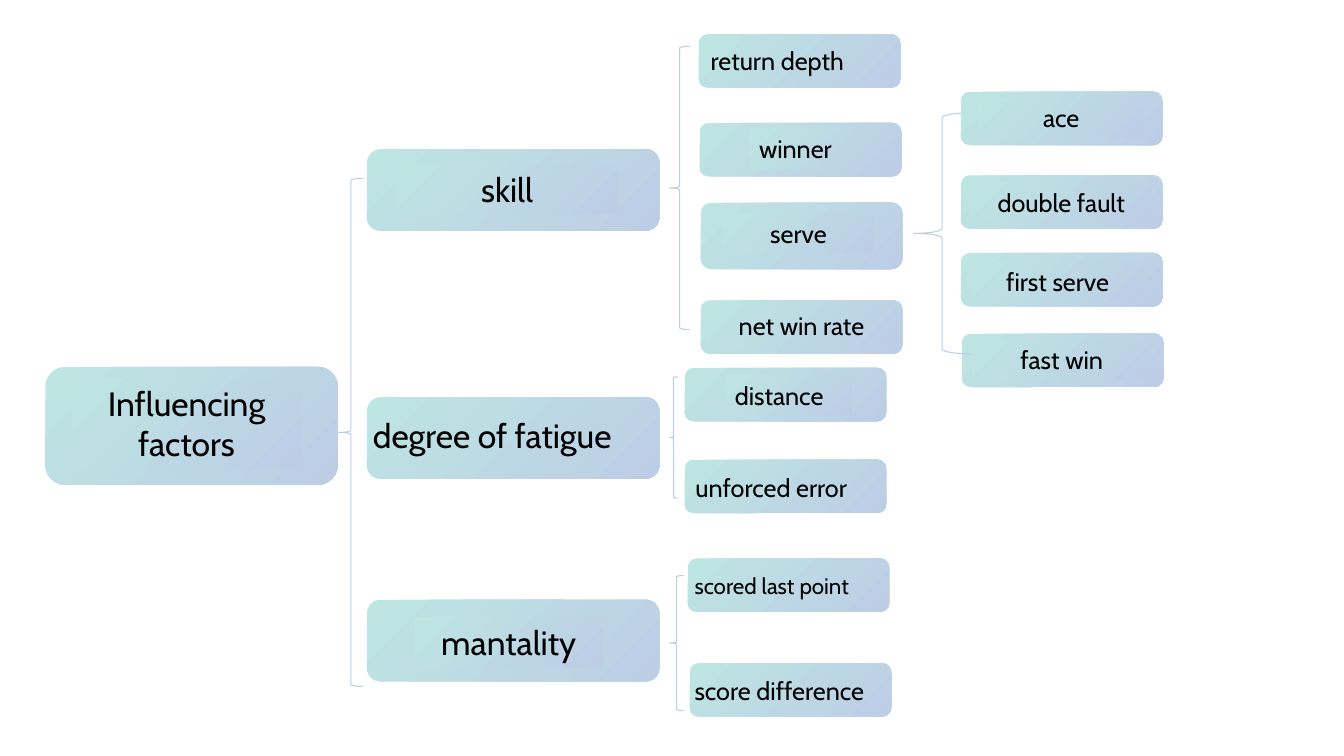
"""Build a slide with a tree of the factors that influence a tennis match."""
from pptx import Presentation
from pptx.dml.color import RGBColor
from pptx.enum.shapes import MSO_SHAPE
from pptx.enum.text import MSO_ANCHOR, PP_ALIGN
from pptx.util import Inches, Pt

COLORS = {"mint": "BDE6E2", "periwinkle": "BDCDE6", "text": "000000"}
LEFT, CENTER = PP_ALIGN.LEFT, PP_ALIGN.CENTER
LARGE, LEAF = (2.9, 0.81), (2, 0.53)

FACTORS = [
    ("Influencing factors", (0.45, 3.64, 2.9, 1.17), (0.71, 3.75, 2.28, 0.91), 24, CENTER, True),
    ("skill", (3.64, 1.48, *LARGE), (3.93, 1.63, 2.2, 0.5), 24, CENTER, True),
    ("degree of fatigue", (3.64, 3.94, *LARGE), (3.6, 4.07, 3.18, 0.5), 24, LEFT, False),
    ("mantality", (3.64, 5.95, *LARGE), (4.11, 6.12, 1.87, 0.5), 24, CENTER, True),
    ("return depth", (6.93, 0.34, *LEAF), (6.95, 0.4, 1.97, 0.4), 18, LEFT, True),
    ("winner", (6.94, 1.22, *LEAF), (7.43, 1.27, 1.44, 0.4), 18, LEFT, True),
    ("serve", (6.95, 2.01, 2, 0.66), (7.17, 2.12, 1.5, 0.4), 18, CENTER, True),
    ("net win rate", (6.95, 2.98, *LEAF), (7, 3.03, 1.9, 0.4), 18, CENTER, True),
    ("distance", (6.79, 3.65, *LEAF), (7.19, 3.72, 1.26, 0.4), 18, LEFT, True),
    ("unforced error", (6.79, 4.56, *LEAF), (6.8, 4.64, 2.13, 0.4), 18, LEFT, False),
    ("scored last point", (6.82, 5.54, *LEAF), (6.79, 5.63, 2.54, 0.37), 16, LEFT, False),
    ("score difference", (6.84, 6.58, *LEAF), (6.79, 6.65, 2.28, 0.4), 18, LEFT, False),
    ("double fault", (9.53, 1.74, *LEAF), (9.63, 1.81, 1.79, 0.4), 18, CENTER, True),
    ("first serve", (9.53, 2.51, *LEAF), (9.64, 2.59, 1.7, 0.4), 18, CENTER, True),
    ("fast win", (9.54, 3.31, *LEAF), (9.64, 3.37, 1.78, 0.4), 18, CENTER, True),
]
BRACES = [
    (3.36, 1.77, 0.24, 5.04),
    (6.64, 0.46, 0.2, 2.81),
    (6.64, 3.74, 0.08, 1.2),
    (6.64, 5.71, 0.14, 1.34),
    (9.06, 1.12, 0.57, 2.39),
]
ACE = ("ace", (9.53, 0.91, *LEAF), (9.7, 0.97, 1.65, 0.4), 18, CENTER, True)


class FactorTree:
    """Draw the boxes, labels and braces of the tree on one page."""

    def __init__(self, page, font="Cabin"):
        self.page = page
        self.font = font

    def shape(self, kind, frame):
        shape = self.page.shapes.add_shape(kind, *map(Inches, frame))
        shape.shadow.inherit = False
        return shape

    def panel(self, kind, frame):
        panel = self.shape(kind, frame)
        panel.line.fill.background()
        panel.fill.gradient()
        panel.fill.gradient_angle = 315
        for stop, name in zip(panel.fill.gradient_stops, ("mint", "periwinkle")):
            stop.color.rgb = RGBColor.from_string(COLORS[name])
        return panel

    def label(self, text, frame, size, align, filled):
        if filled:
            box = self.panel(MSO_SHAPE.RECTANGLE, frame)
        else:
            box = self.page.shapes.add_textbox(*map(Inches, frame))
        box.text_frame.word_wrap = True
        box.text_frame.vertical_anchor = MSO_ANCHOR.TOP
        para = box.text_frame.paragraphs[0]
        para.text = text
        para.alignment = align
        para.font.name = self.font
        para.font.size = Pt(size)
        para.font.color.rgb = RGBColor.from_string(COLORS["text"])

    def factor(self, text, box_frame, label_frame, size, align, filled):
        self.panel(MSO_SHAPE.ROUNDED_RECTANGLE, box_frame)
        self.label(text, label_frame, size, align, filled)

    def brace(self, frame):
        brace = self.shape(MSO_SHAPE.LEFT_BRACE, frame)
        brace.fill.background()
        brace.line.color.rgb = RGBColor.from_string(COLORS["periwinkle"])
        brace.line.width = Pt(0.75)


def main():
    deck = Presentation()
    deck.slide_width, deck.slide_height = Inches(13.33), Inches(7.5)
    tree = FactorTree(deck.slides.add_slide(deck.slide_layouts[6]))
    for factor in FACTORS:
        tree.factor(*factor)
    for frame in BRACES:
        tree.brace(frame)
    tree.factor(*ACE)
    deck.save("out.pptx")


if __name__ == "__main__":
    main()
